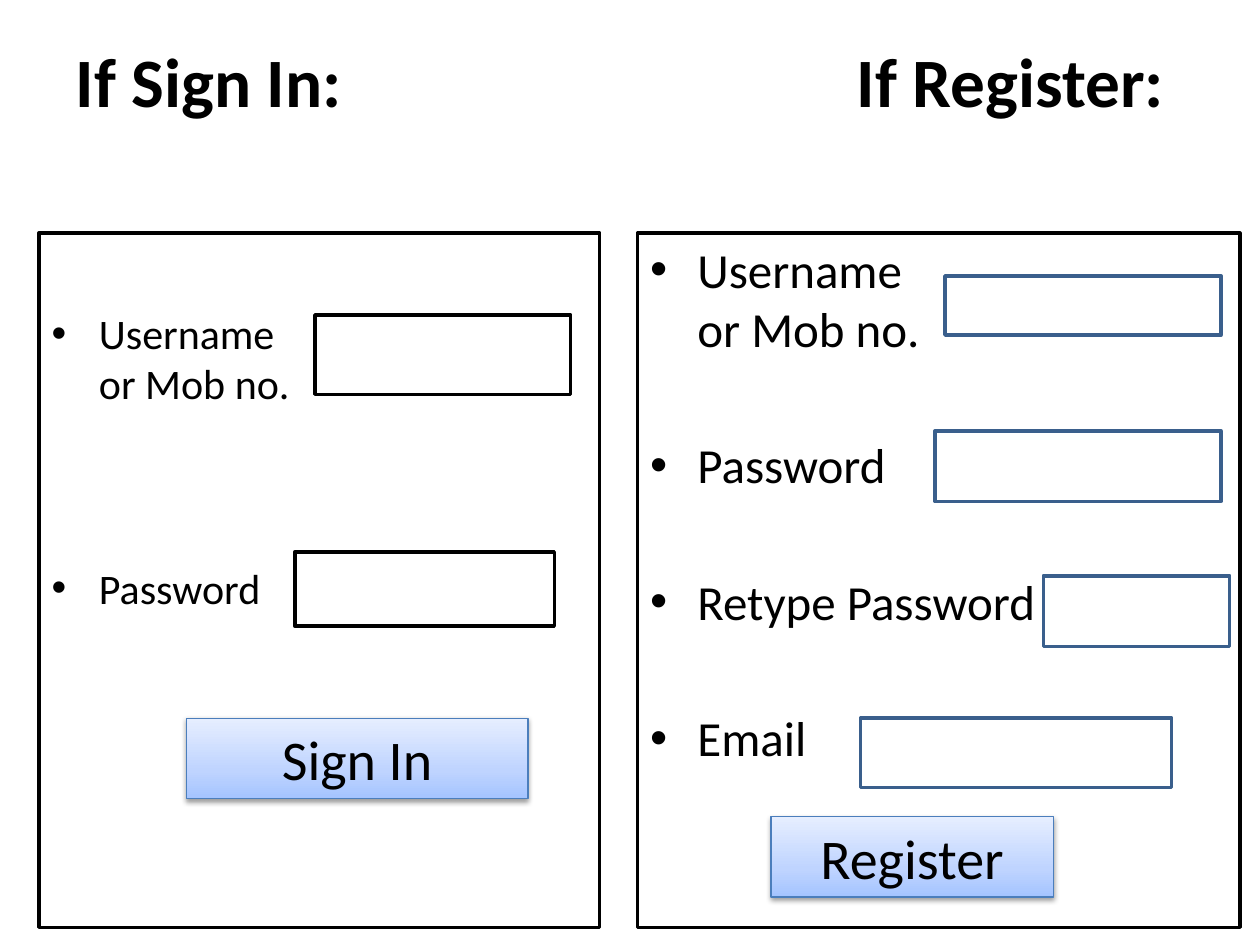
from copy import deepcopy
from typing import NamedTuple

from lxml.etree import SubElement
from pptx import Presentation
from pptx.dml.color import RGBColor
from pptx.enum.shapes import MSO_SHAPE
from pptx.enum.text import MSO_ANCHOR, MSO_AUTO_SIZE, PP_ALIGN
from pptx.oxml.ns import qn
from pptx.util import Inches, Pt

COLS, ROWS = 100, 75
WIDTH, HEIGHT = Inches(10), Inches(7.5)
FONT = "Calibri"
BLACK = RGBColor(0x00, 0x00, 0x00)
WHITE = RGBColor(0xFF, 0xFF, 0xFF)
NAVY = RGBColor(0x3A, 0x5F, 0x8C)
BLUE = RGBColor(0x4B, 0x7E, 0xBC)
STOPS = [
    (0, RGBColor(0xA4, 0xC4, 0xFF)),
    (0.35, RGBColor(0xBF, 0xD4, 0xFF)),
    (1, RGBColor(0xE6, 0xEE, 0xFF)),
]


class Box(NamedTuple):
    col: float
    row: float
    wide: float
    high: float


class Panel(NamedTuple):
    box: Box
    items: list[str]
    size: float
    gap: float
    inset: float
    fields: list[Box]
    edge: RGBColor
    label: str
    button: Box


PANELS = [
    Panel(
        Box(3.1, 18.5, 44.5, 55.1),
        ["Username\vor Mob no.", "Password"],
        24, 88, 0.59,
        [Box(25, 25, 20.3, 6.3), Box(23.4, 43.8, 20.6, 5.9)],
        BLACK, "Sign In", Box(14.8, 57, 27.1, 6.4),
    ),
    Panel(
        Box(50.6, 18.5, 47.8, 55.1),
        ["Username\vor Mob no.", "Password", "Retype Password", "Email"],
        28, 44.4, 0.05,
        [
            Box(75, 21.9, 21.9, 4.7),
            Box(74.2, 34.2, 22.7, 5.6),
            Box(82.8, 45.7, 14.8, 5.6),
            Box(68.3, 57, 24.7, 5.5),
        ],
        NAVY, "Register", Box(61.2, 64.8, 22.4, 6.4),
    ),
]


def scale(box: Box) -> tuple[int, int, int, int]:
    across, down = WIDTH / COLS, HEIGHT / ROWS
    return (round(box.col * across), round(box.row * down),
            round(box.wide * across), round(box.high * down))


def place(shape, box: Box) -> None:
    shape.left, shape.top, shape.width, shape.height = scale(box)


def write(para, text: str, *, size: float, bold=False, align=None, gap=0) -> None:
    para.text = text
    para.alignment = align
    para.space_before = Pt(gap)
    for run in para.runs:
        font = run.font
        font.name, font.size, font.bold = FONT, Pt(size), bold
        font.color.rgb = BLACK
    style = para.runs[0].font._element
    for mark in para._p.findall(qn("a:br")):
        mark.append(deepcopy(style))


def frame(shape, edge: RGBColor) -> None:
    shape.fill.solid()
    shape.fill.fore_color.rgb = WHITE
    shape.line.color.rgb = edge
    shape.line.width = Pt(2)


def draw_field(slide, box: Box, edge: RGBColor) -> None:
    shape = slide.shapes.add_shape(MSO_SHAPE.RECTANGLE, *scale(box))
    shape.shadow.inherit = False
    frame(shape, edge)


def shade(shape) -> None:
    shape.fill.gradient()
    shape.fill.gradient_angle = 90
    group = shape._element.spPr.find(".//" + qn("a:gsLst"))
    group.append(deepcopy(group[0]))
    for stop, (share, color) in zip(shape.fill.gradient_stops, STOPS):
        stop.position = share
        stop.color.rgb = color


def cast(shape) -> None:
    shape.shadow.inherit = False
    effects = shape._element.spPr.find(qn("a:effectLst"))
    outer = SubElement(effects, qn("a:outerShdw"), blurRad=str(Pt(3.1)),
                       dist=str(Pt(1.6)), dir="5400000", rotWithShape="0")
    color = SubElement(outer, qn("a:srgbClr"), val=str(BLACK))
    SubElement(color, qn("a:alpha"), val="38000")


def draw_button(slide, box: Box, label: str) -> None:
    shape = slide.shapes.add_shape(MSO_SHAPE.RECTANGLE, *scale(box))
    shade(shape)
    shape.line.color.rgb = BLUE
    shape.line.width = Pt(0.75)
    cast(shape)
    write(shape.text_frame.paragraphs[0], label, size=32, align=PP_ALIGN.CENTER)


def draw_title(title) -> None:
    place(title, Box(5, 3, 90, 12.5))
    body = title.text_frame
    body.auto_size = MSO_AUTO_SIZE.NONE
    body.vertical_anchor = MSO_ANCHOR.TOP
    body.margin_top = 0
    para = body.paragraphs[0]
    write(para, "If Sign In:\tIf Register:", size=39.6, bold=True, align=PP_ALIGN.LEFT)
    tabs = SubElement(para._p.get_or_add_pPr(), qn("a:tabLst"))
    SubElement(tabs, qn("a:tab"), pos=str(Inches(6.2)), algn="l")


def draw_panel(slide, holder, panel: Panel) -> None:
    place(holder, panel.box)
    frame(holder, BLACK)
    body = holder.text_frame
    body.auto_size = MSO_AUTO_SIZE.NONE
    body.margin_top = Inches(panel.inset)
    for index, item in enumerate(panel.items):
        para = body.add_paragraph() if index else body.paragraphs[0]
        write(para, item, size=panel.size, gap=panel.gap if index else 0)
    for box in panel.fields:
        draw_field(slide, box, panel.edge)
    draw_button(slide, panel.button, panel.label)


def main() -> None:
    deck = Presentation()
    deck.slide_width, deck.slide_height = WIDTH, HEIGHT
    slide = deck.slides.add_slide(deck.slide_layouts[3])
    title, *holders = slide.placeholders
    draw_title(title)
    for holder, panel in zip(holders, PANELS):
        draw_panel(slide, holder, panel)
    deck.save("out.pptx")


if __name__ == "__main__":
    main()
